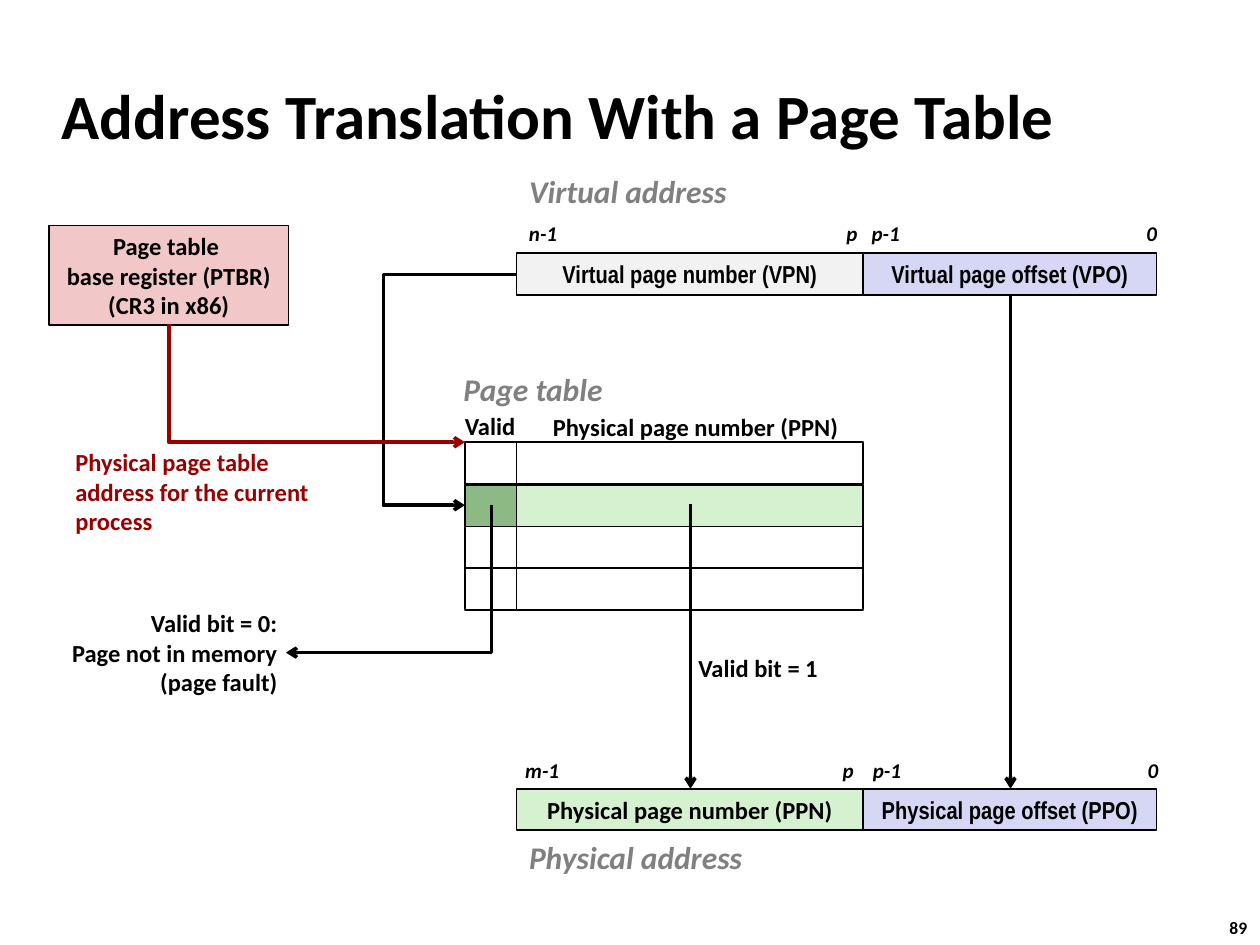
"""Draw how a page table turns a virtual address into a physical one."""
from dataclasses import dataclass
from typing import Any, Optional

from lxml.etree import SubElement
from pptx import Presentation
from pptx.dml.color import RGBColor
from pptx.enum.shapes import MSO_CONNECTOR, MSO_SHAPE
from pptx.enum.text import MSO_ANCHOR, PP_ALIGN
from pptx.oxml.ns import qn
from pptx.util import Pt

PX = 9144
BLACK = RGBColor(0x00, 0x00, 0x00)
GREY = RGBColor(0x80, 0x80, 0x80)
RED = RGBColor(0x99, 0x00, 0x00)
PALE = RGBColor(0xF2, 0xF2, 0xF2)
LILAC = RGBColor(0xD6, 0xD6, 0xF5)
MINT = RGBColor(0xD5, 0xF1, 0xCF)
GREEN = RGBColor(0x8D, 0xBA, 0x84)
PINK = RGBColor(0xF1, 0xC7, 0xC7)

BODY = {"name": "Calibri", "size": Pt(14), "bold": True}
THIN = {**BODY, "name": "Arial Narrow"}
HEAD = {**BODY, "size": Pt(36)}
PART = {**BODY, "size": Pt(18), "italic": True}
BIT = {**BODY, "size": Pt(12), "italic": True}
FOOT = {**BODY, "size": Pt(10)}

LEFT, RIGHT = PP_ALIGN.LEFT, PP_ALIGN.RIGHT
VALID, PAGE, SHIFT, END = 369, 410, 685, 918
ROW = 33


@dataclass
class Box:
    """A filled rectangle with centred text."""
    left: int
    top: int
    width: int
    height: int
    fill: Optional[RGBColor] = None
    text: str = ""
    font: Any = None


@dataclass
class Label:
    """Free text on the slide."""
    left: int
    top: int
    width: int
    height: int
    text: str
    font: dict
    color: RGBColor = BLACK
    align: PP_ALIGN = LEFT


@dataclass
class Wire:
    """A line with an arrow at its head or tail end."""
    start: tuple[int, int]
    stop: tuple[int, int]
    form: str = "line"
    color: RGBColor = BLACK
    arrow: str = "tailEnd"
    bend: Optional[int] = None


def write(frame: Any, text: str, font: dict, color: RGBColor, align: PP_ALIGN) -> None:
    """Fill a text frame and format every run."""
    frame.text = text
    for para in frame.paragraphs:
        para.alignment = align
        for run in para.runs:
            for key, value in font.items():
                setattr(run.font, key, value)
            run.font.color.rgb = color


def draw_box(slide: Any, box: Box) -> None:
    """Add one rectangle."""
    area = [n * PX for n in (box.left, box.top, box.width, box.height)]
    shape = slide.shapes.add_shape(MSO_SHAPE.RECTANGLE, *area)
    shape.shadow.inherit = False
    if box.fill is None:
        shape.fill.background()
    else:
        shape.fill.solid()
        shape.fill.fore_color.rgb = box.fill
    shape.line.color.rgb = BLACK
    shape.line.width = Pt(1)
    if box.text:
        shape.text_frame.vertical_anchor = MSO_ANCHOR.MIDDLE
        write(shape.text_frame, box.text, box.font, BLACK, PP_ALIGN.CENTER)


def draw_label(slide: Any, label: Label) -> None:
    """Add one text box."""
    area = [n * PX for n in (label.left, label.top, label.width, label.height)]
    frame = slide.shapes.add_textbox(*area).text_frame
    frame.word_wrap = False
    write(frame, label.text, label.font, label.color, label.align)


def draw_wire(slide: Any, wire: Wire) -> None:
    """Add one straight or bent connector."""
    ends = [n * PX for n in wire.start + wire.stop]
    link = slide.shapes.add_connector(MSO_CONNECTOR.STRAIGHT, *ends)
    link.line.color.rgb = wire.color
    link.line.width = Pt(2)
    props = link._element.spPr
    geom = props.find(qn("a:prstGeom"))
    geom.set("prst", wire.form)
    if wire.bend is not None:
        SubElement(geom.find(qn("a:avLst")), qn("a:gd"), name="adj1", fmla=f"val {wire.bend}")
    SubElement(props.find(qn("a:ln")), qn(f"a:{wire.arrow}"), type="arrow")
    SubElement(props, qn("a:effectLst"))


def address(top: int, fill: RGBColor, kind: str, mark: str, font: dict) -> list[Box]:
    """Give the two fields of an address."""
    return [
        Box(PAGE, top, SHIFT - PAGE, ROW, fill, f"{kind} page number ({mark}PN)", font),
        Box(SHIFT, top, END - SHIFT, ROW, LILAC, f"{kind} page offset ({mark}PO)", THIN),
    ]


def bits(top: int, *marks: tuple[int, int, str]) -> list[Label]:
    """Give the bit numbers above an address."""
    return [Label(left, top, width, 30, text, BIT) for left, width, text in marks]


def main() -> None:
    """Build and save the slide."""
    deck = Presentation()
    deck.slide_width, deck.slide_height = 1000 * PX, 750 * PX
    slide = deck.slides.add_slide(deck.slide_layouts[5])
    title = slide.shapes.title
    place = {"left": 39, "top": 49, "width": 830, "height": 83}
    for key, value in place.items():
        setattr(title, key, value * PX)
    title.text_frame.vertical_anchor = MSO_ANCHOR.MIDDLE
    write(title.text_frame, "Address Translation With a Page Table", HEAD, BLACK, LEFT)

    boxes = address(201, PALE, "Virtual", "V", THIN) + address(626, MINT, "Physical", "P", BODY)
    for row in range(4):
        hit = row == 1
        top = 351 + row * ROW + min(row, 1)
        boxes += [
            Box(PAGE, top, SHIFT - PAGE, ROW, MINT if hit else None),
            Box(VALID, top, PAGE - VALID, ROW, GREEN if hit else None),
        ]
    base = "Page table \vbase register (PTBR)\n(CR3 in x86)"
    boxes.append(Box(39, 179, 190, 79, PINK, base, BODY))

    wires = [
        Wire((PAGE, 218), (VALID, 401), "bentConnector3", bend=258000),
        Wire((802, 235), (802, 626)),
        Wire((548, 400), (548, 626)),
        Wire((227, 518), (390, 401), "bentConnector2", arrow="headEnd"),
        Wire((VALID, 351), (134, 257), "bentConnector2", RED, "headEnd"),
    ]

    root = "Physical page table\naddress for the current\nprocess"
    fault = "Valid bit = 0:\nPage not in memory\n(page fault)"
    labels = [
        Label(410, 132, 178, 40, "Virtual address", PART, GREY),
        Label(410, 660, 191, 40, "Physical address", PART, GREY),
        Label(358, 289, 142, 40, "Page table", PART, GREY),
        Label(359, 321, 61, 34, "Valid", BODY),
        Label(429, 322, 248, 34, "Physical page number (PPN)", BODY),
        Label(50, 350, 208, 81, root, BODY, RED),
        Label(44, 478, 186, 81, fault, BODY, align=RIGHT),
        Label(542, 513, 117, 34, "Valid bit = 1", BODY, align=RIGHT),
        Label(966, 723, 37, 27, "89", FOOT),
        *bits(170, (410, 47, "n-1"), (662, 33, "p"), (682, 47, "p-1"), (900, 33, "0")),
        *bits(596, (407, 51, "m-1"), (659, 33, "p"), (683, 47, "p-1"), (901, 33, "0")),
    ]
    for draw, items in ((draw_box, boxes), (draw_wire, wires), (draw_label, labels)):
        for item in items:
            draw(slide, item)
    deck.save("out.pptx")


if __name__ == "__main__":
    main()
